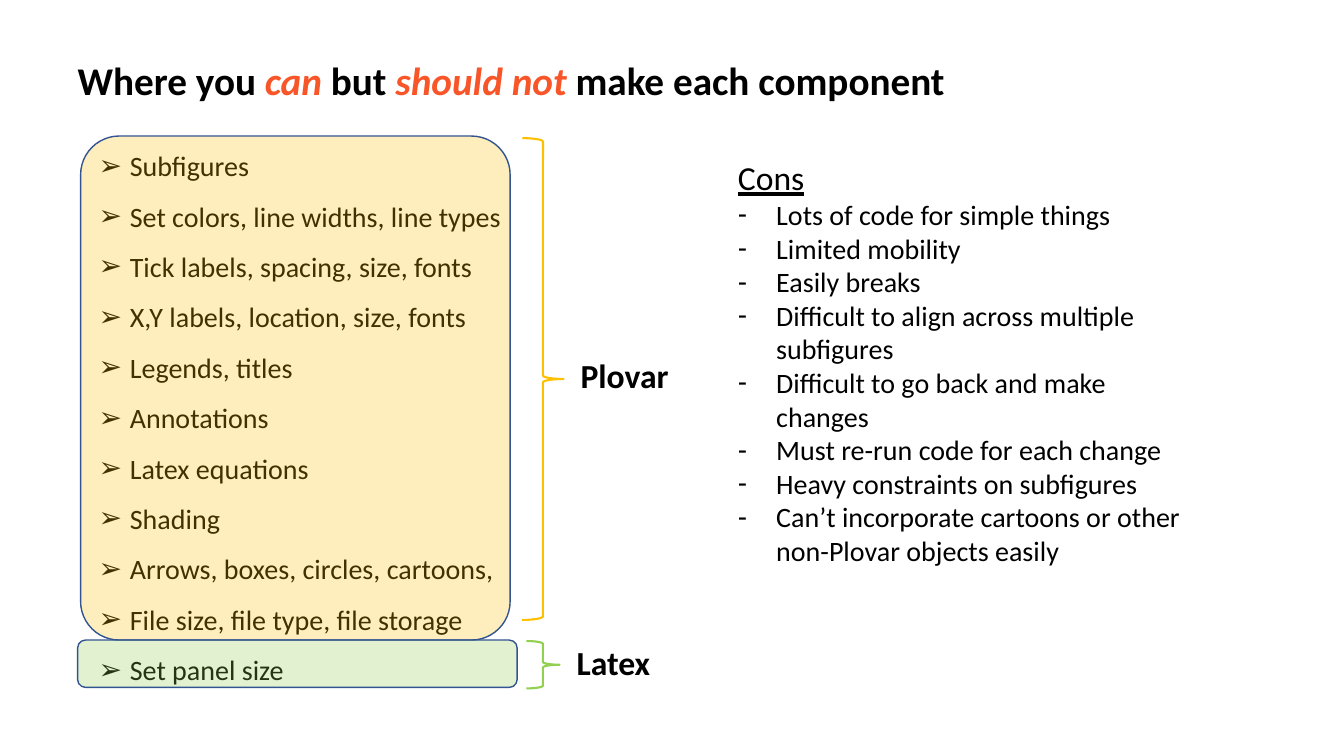
from pptx import Presentation
from pptx.dml.color import RGBColor
from pptx.enum.shapes import MSO_SHAPE as Kind
from pptx.enum.text import MSO_ANCHOR as Anchor, MSO_AUTO_SIZE as Fit, PP_ALIGN as Align
from pptx.oxml.ns import qn
from pptx.util import Inches, Pt
from lxml import etree

BLACK, RED, GOLD, GREEN, BLUE = "000000", "F85528", "FFC000", "92D050", "325491"

# Content: a paragraph is a list of (text, format) runs
BOLD = {"bold": True}
HOT = {"bold": True, "italic": True, "color": RED}
TITLE = [("Where you ", BOLD), ("can ", HOT), ("but ", BOLD),
         ("should not ", HOT), ("make each component", BOLD)]
PARTS = [
    "Subfigures",
    "Set colors, line widths, line types",
    "Tick labels, spacing, size, fonts",
    "X,Y labels, location, size, fonts",
    "Legends, titles",
    "Annotations",
    "Latex equations",
    "Shading",
    "Arrows, boxes, circles, cartoons,",
    "File size, file type, file storage",
    "Set panel size",
]
CONS = [
    "Lots of code for simple things",
    "Limited mobility",
    "Easily breaks",
    "Difficult to align across multiple subfigures",
    "Difficult to go back and make changes",
    "Must re-run code for each change",
    "Heavy constraints on subfigures",
    "Can’t incorporate cartoons or other non-Plovar objects easily",
]
# Tool name, label place, brace place, box place, corner, colour
TOOLS = [
    ("Plovar", (5.66, 3.47, 1.33, 0.5), (5.18, 1.37, 0.41, 4.78),
     (0.8, 1.35, 4.26, 5), 0.09, GOLD),
    ("Latex", (5.62, 6.32, 1.59, 0.5), (5.22, 6.36, 0.33, 0.47),
     (0.77, 6.35, 4.36, 0.47), 0.17, GREEN),
]


def rgb(code):
    return RGBColor.from_string(code)


def place(at):
    return [Inches(n) for n in at]


def write(para, runs, size):
    para.alignment = Align.LEFT
    for text, look in runs:
        run = para.add_run()
        run.text = text
        font = run.font
        font.name, font.size = "Calibri", Pt(size)
        font.color.rgb = rgb(look.get("color", BLACK))
        for key, value in look.items():
            if key != "color":
                setattr(font, key, value)


def bullet(para, mark, indent):
    props = para._p.get_or_add_pPr()
    props.set("marL", str(Inches(indent)))
    props.set("indent", str(-Inches(indent)))
    etree.SubElement(props, qn("a:buFont")).set("typeface", "Arial")
    etree.SubElement(props, qn("a:buChar")).set("char", mark)


def text_box(at):
    frame = slide.shapes.add_textbox(*place(at)).text_frame
    frame.word_wrap = True
    return frame


def outline(kind, at, color, width):
    shape = slide.shapes.add_shape(kind, *place(at))
    shape.shadow.inherit = False
    shape.line.color.rgb = rgb(color)
    shape.line.width = Pt(width)
    return shape


deck = Presentation()
deck.slide_width, deck.slide_height = Inches(13.33), Inches(7.5)
slide = deck.slides.add_slide(deck.slide_layouts[5])

# Title
title = slide.shapes.title
title.left, title.top, title.width, title.height = place((0.67, 0.51, 8.94, 0.57))
for key, value in {"word_wrap": True, "auto_size": Fit.NONE,
                   "vertical_anchor": Anchor.TOP}.items():
    setattr(title.text_frame, key, value)
write(title.text_frame.paragraphs[0], TITLE, 28)

# List of figure parts
frame = text_box((0.88, 1.26, 4.36, 5.6))
for i, part in enumerate(PARTS):
    para = frame.add_paragraph() if i else frame.paragraphs[0]
    para.line_spacing = 1.5
    write(para, [(part, {})], 20)
    bullet(para, "➢", 0.31)

# Tool labels, braces and see-through boxes over the list
for name, spot, brace, box, corner, color in TOOLS:
    write(text_box(spot).paragraphs[0], [(name, BOLD)], 24)
    outline(Kind.RIGHT_BRACE, brace, color, 1.5).fill.background()
    panel = outline(Kind.ROUNDED_RECTANGLE, box, BLUE, 1)
    panel.adjustments[0] = corner
    panel.fill.solid()
    panel.fill.fore_color.rgb = rgb(color)
    tint = panel.fill._xPr.find(qn("a:solidFill"))[0]
    etree.SubElement(tint, qn("a:alpha")).set("val", "26000")

# Cons
frame = text_box((7.22, 1.51, 4.79, 4.54))
write(frame.paragraphs[0], [("Cons", {"underline": True})], 24)
for con in CONS:
    para = frame.add_paragraph()
    write(para, [(con, {})], 20)
    bullet(para, "-", 0.38)

deck.save("out.pptx")
